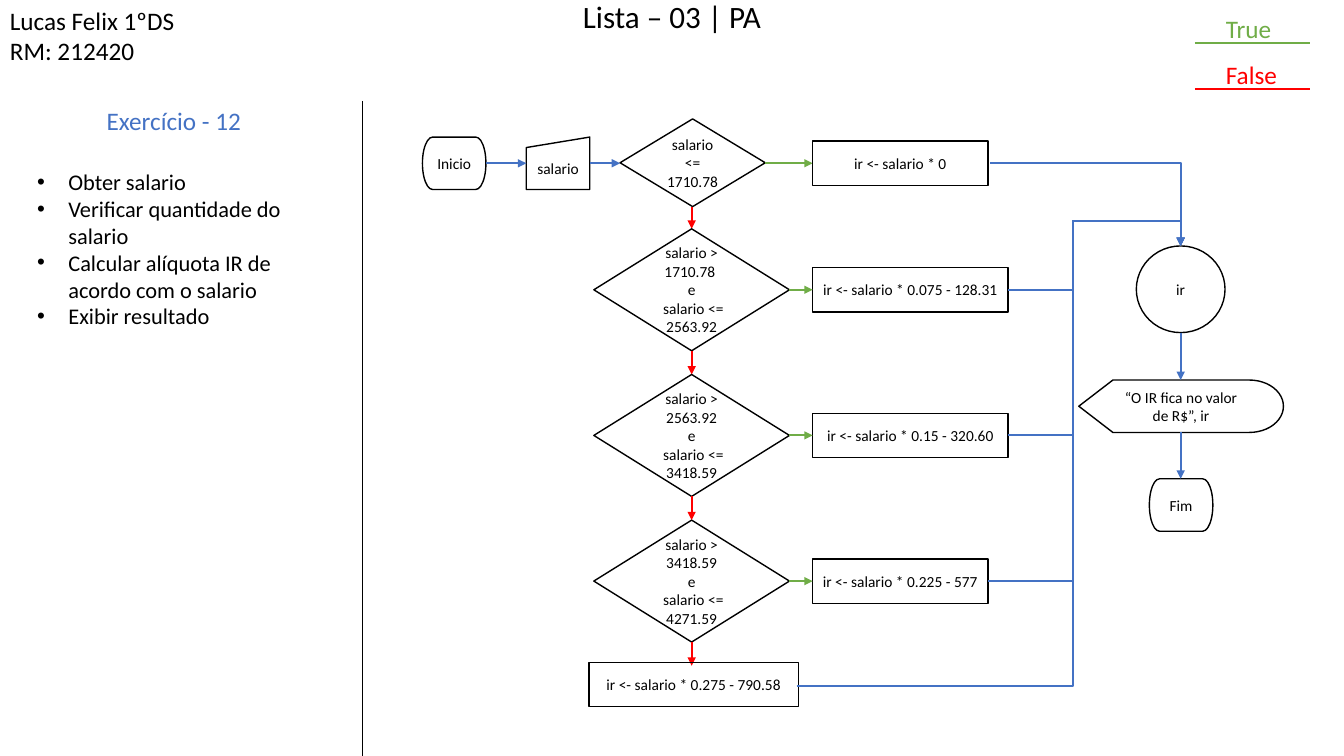
from dataclasses import dataclass

import pptx
import pptx.dml.color
import pptx.enum.shapes
import pptx.enum.text
import pptx.oxml
import pptx.oxml.ns
import pptx.util

Inches = pptx.util.Inches
Pt = pptx.util.Pt
Preset = pptx.enum.shapes.MSO_SHAPE
Connector = pptx.enum.shapes.MSO_CONNECTOR
Align = pptx.enum.text.PP_ALIGN

FONT = "Calibri"
COLORS = {"black": "000000", "flow": "4472C4", "true": "70AD47", "false": "FF0000"}

# Flowchart axes and repeated sizes, in inches
FIRST_ROW_Y = 1.62
TEST_X = 6.86
TEST_WIDTH, TEST_HEIGHT = 1.94, 1.21
TEST_TOP, TEST_STEP = 2.27, 1.445
RATE_LEFT, RATE_HEIGHT = 8.06, 0.44
TERMINAL_WIDTH, TERMINAL_HEIGHT = 0.63, 0.52
RESULT_X, RESULT_TOP = 11.71, 2.44
BUS_X, BUS_TOP = 10.64, 2.19


@dataclass
class Label:
    text: str
    left: float
    top: float
    width: float
    height: float
    size: float = 18
    color: str = "black"
    bulleted: bool = False


@dataclass
class Node:
    preset: Preset
    text: str
    left: float
    top: float
    width: float
    height: float


@dataclass
class Link:
    start: tuple[float, float]
    end: tuple[float, float]
    color: str = "flow"
    width: float = 1.5
    arrow: bool = True


@dataclass
class Bracket:
    """Income test with the tax rate that applies when it is true."""
    test: str
    rate: str
    rate_width: float


def rgb(name: str) -> pptx.dml.color.RGBColor:
    return pptx.dml.color.RGBColor.from_string(COLORS[name])


def write(text_frame, text: str, size: float, color: str, alignment: Align) -> None:
    text_frame.word_wrap = True
    text_frame.text = text
    for paragraph in text_frame.paragraphs:
        paragraph.alignment = alignment
        for run in paragraph.runs:
            run.font.name = FONT
            run.font.size = Pt(size)
            run.font.color.rgb = rgb(color)


def add_bullet(paragraph) -> None:
    properties = paragraph._p.get_or_add_pPr()
    indent = int(Inches(0.31))
    properties.set("marL", str(indent))
    properties.set("indent", str(-indent))
    for tag, name, value in (("a:buFont", "typeface", "Arial"), ("a:buChar", "char", "•")):
        element = pptx.oxml.parse_xml(f"<{tag} {pptx.oxml.ns.nsdecls('a')}/>")
        element.set(name, value)
        properties.append(element)


def add_label(slide, label: Label, alignment: Align = Align.LEFT):
    box = slide.shapes.add_textbox(*map(Inches, (label.left, label.top, label.width, label.height)))
    write(box.text_frame, label.text, label.size, label.color, alignment)
    if label.bulleted:
        for paragraph in box.text_frame.paragraphs:
            add_bullet(paragraph)
    return box


def add_node(slide, node: Node) -> None:
    shape = slide.shapes.add_shape(
        node.preset, *map(Inches, (node.left, node.top, node.width, node.height)))
    shape.shadow.inherit = False
    shape.fill.background()
    shape.line.color.rgb = rgb("black")
    shape.line.width = Pt(1)
    shape.text_frame.vertical_anchor = pptx.enum.text.MSO_ANCHOR.MIDDLE
    write(shape.text_frame, node.text, 11, "black", Align.CENTER)


def add_link(slide, link: Link, kind: Connector = Connector.STRAIGHT):
    connector = slide.shapes.add_connector(kind, *map(Inches, (*link.start, *link.end)))
    connector.line.color.rgb = rgb(link.color)
    connector.line.width = Pt(link.width)
    namespace = pptx.oxml.ns.nsdecls("a")
    if link.arrow:
        connector.line._get_or_add_ln().append(
            pptx.oxml.parse_xml(f'<a:tailEnd {namespace} type="triangle"/>'))
    connector._element.spPr.append(pptx.oxml.parse_xml(f"<a:effectLst {namespace}/>"))
    return connector


def add_elbow(slide, link: Link, preset: str, adjustments: tuple[float, ...] = ()) -> None:
    connector = add_link(slide, link, Connector.ELBOW)
    guides = "".join(
        f'<a:gd name="adj{number}" fmla="val {round(value * 100000)}"/>'
        for number, value in enumerate(adjustments, 1))
    geometry = connector._element.spPr.find(pptx.oxml.ns.qn("a:prstGeom"))
    geometry.set("prst", preset)
    for child in list(geometry):
        geometry.remove(child)
    geometry.append(pptx.oxml.parse_xml(
        f"<a:avLst {pptx.oxml.ns.nsdecls('a')}>{guides}</a:avLst>"))


def add_bus_link(slide, x: float, y: float) -> None:
    """Route a rate box to the shared vertical line and on to the result."""
    adjustments = ((BUS_X - x) / (RESULT_X - x), (y - BUS_TOP) / (y - RESULT_TOP))
    add_elbow(slide, Link((x, y), (RESULT_X, RESULT_TOP)), "bentConnector4", adjustments)


def add_rate(slide, text: str, left: float, y: float, width: float) -> None:
    add_node(slide, Node(Preset.RECTANGLE, text, left, y - RATE_HEIGHT / 2, width, RATE_HEIGHT))


LABELS = [
    Label("Lucas Felix 1ºDS\nRM: 212420", 0, 0, 2.2, 0.71),
    Label("Exercício - 12", 0.96, 1, 2.2, 0.4, color="flow"),
    Label("Obter salario\nVerificar quantidade do salario\n"
          "Calcular alíquota IR de acordo com o salario\nExibir resultado",
          0.27, 1.62, 3.12, 1.72, 16, bulleted=True),
    Label("True", 12.06, 0.08, 1.2, 0.4, color="true"),
    Label("False", 12.06, 0.54, 1.2, 0.4, color="false"),
]

TERMINAL_TOP = FIRST_ROW_Y - TERMINAL_HEIGHT / 2
NODES = [
    Node(Preset.FLOWCHART_TERMINATOR, "Inicio", 4.19, TERMINAL_TOP, TERMINAL_WIDTH, TERMINAL_HEIGHT),
    Node(Preset.FLOWCHART_MANUAL_INPUT, "salario", 5.22, TERMINAL_TOP, TERMINAL_WIDTH, TERMINAL_HEIGHT),
    Node(Preset.FLOWCHART_DECISION, "salario <= 1710.78", 6.15, 1.18, 1.44, 0.87),
    Node(Preset.OVAL, "ir", 11.27, RESULT_TOP, 0.88, 0.86),
    Node(Preset.FLOWCHART_DISPLAY, "“O IR fica no valor de R$”, ir", 10.7, 3.77, 2.03, TERMINAL_HEIGHT),
    Node(Preset.FLOWCHART_TERMINATOR, "Fim", 11.4, 4.75, TERMINAL_WIDTH, TERMINAL_HEIGHT),
]

LINKS = [
    Link((3.59, 1), (3.59, 7.5), "black", 0.5, arrow=False),
    Link((11.85, 0.43), (12.99, 0.43), "true", arrow=False),
    Link((11.85, 0.88), (12.99, 0.88), "false", arrow=False),
    Link((4.82, FIRST_ROW_Y), (5.22, FIRST_ROW_Y)),
    Link((5.85, FIRST_ROW_Y), (6.15, FIRST_ROW_Y)),
    Link((7.59, FIRST_ROW_Y), (RATE_LEFT, FIRST_ROW_Y), "true"),
    Link((TEST_X, 2.05), (TEST_X, TEST_TOP), "false"),
    Link((RESULT_X, 3.3), (RESULT_X, 3.77)),
    Link((RESULT_X, 4.29), (RESULT_X, 4.75)),
]

BRACKETS = [
    Bracket("salario > 1710.78 \ne\n salario <= 2563.92", "ir <- salario * 0.075 - 128.31", 1.94),
    Bracket("salario > 2563.92\ne\n salario <= 3418.59", "ir <- salario * 0.15 - 320.60", 1.94),
    Bracket("salario > 3418.59\ne\n salario <= 4271.59", "ir <- salario * 0.225 - 577", 1.74),
]


def main() -> None:
    presentation = pptx.Presentation()
    presentation.slide_width, presentation.slide_height = Inches(13.33), Inches(7.5)
    slide = presentation.slides.add_slide(presentation.slide_layouts[6])

    # Headings, exercise steps and legend
    title = add_label(slide, Label("Lista – 03 | PA", 5.35, 0, 2.63, 0.42, 22.2), Align.CENTER)
    title.text_frame.paragraphs[0].line_spacing = 0.8
    title.text_frame.paragraphs[0].space_before = Pt(10)
    for label in LABELS:
        add_label(slide, label)

    # Start, first test, result and end
    for node in NODES:
        add_node(slide, node)
    for link in LINKS:
        add_link(slide, link)
    add_rate(slide, "ir <- salario * 0", RATE_LEFT, FIRST_ROW_Y, 1.74)
    add_elbow(slide, Link((9.82, FIRST_ROW_Y), (RESULT_X, RESULT_TOP)), "bentConnector2")

    # Income brackets
    test_left = TEST_X - TEST_WIDTH / 2
    for index, bracket in enumerate(BRACKETS):
        top = TEST_TOP + index * TEST_STEP
        middle, bottom = top + TEST_HEIGHT / 2, top + TEST_HEIGHT
        add_node(slide, Node(Preset.FLOWCHART_DECISION, bracket.test,
                             test_left, top, TEST_WIDTH, TEST_HEIGHT))
        add_rate(slide, bracket.rate, RATE_LEFT, middle, bracket.rate_width)
        add_link(slide, Link((test_left + TEST_WIDTH, middle), (RATE_LEFT, middle), "true"))
        add_link(slide, Link((TEST_X, bottom), (TEST_X, top + TEST_STEP), "false"))
        add_bus_link(slide, RATE_LEFT + bracket.rate_width, middle)

    # Highest rate
    add_rate(slide, "ir <- salario * 0.275 - 790.58", 5.84, 6.79, 2.08)
    add_bus_link(slide, 7.9, 6.81)

    presentation.save("out.pptx")


if __name__ == "__main__":
    main()
